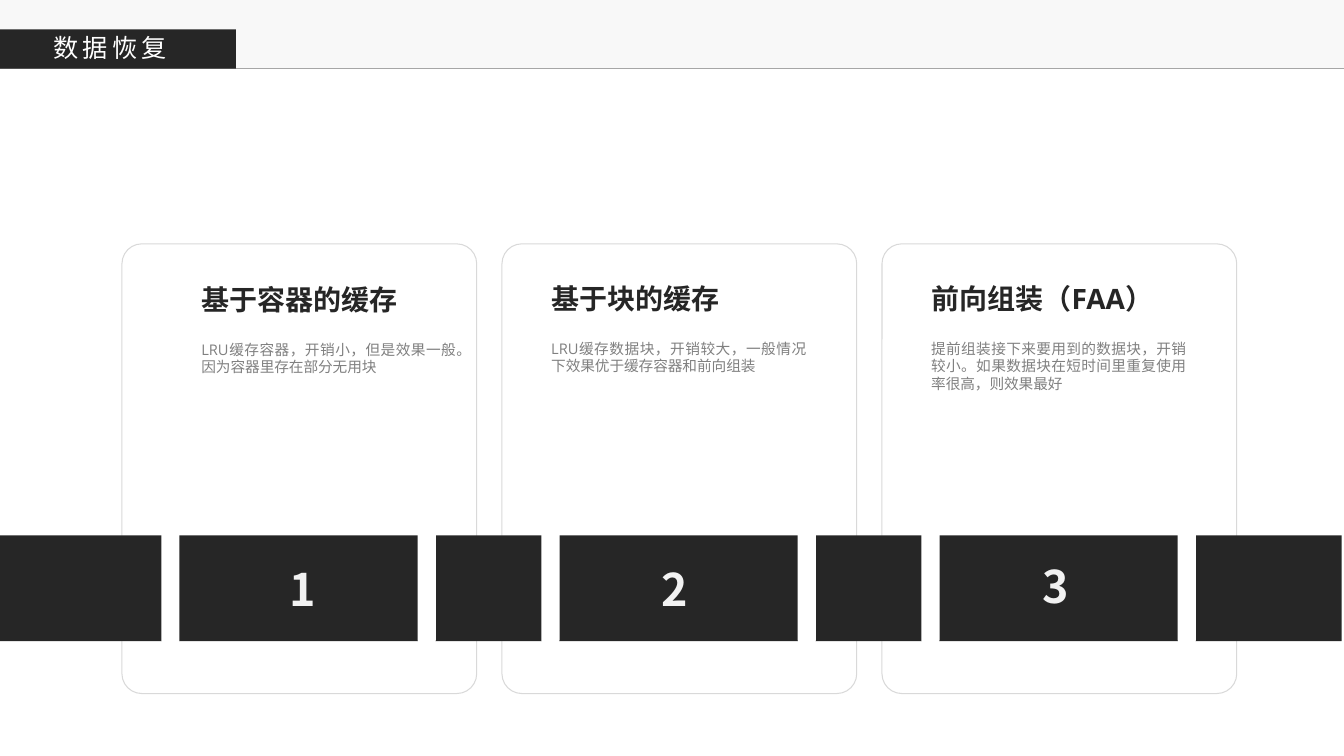
from dataclasses import dataclass

from lxml import etree
from pptx import Presentation
from pptx.dml.color import RGBColor
from pptx.enum.shapes import MSO_CONNECTOR, MSO_SHAPE as SHAPE
from pptx.enum.text import MSO_AUTO_SIZE, PP_ALIGN as ALIGN
from pptx.oxml.ns import qn
from pptx.util import Pt


@dataclass(frozen=True)
class Theme:
    dark: str = "262626"
    white: str = "FFFFFF"
    pale: str = "F2F2F2"
    rule: str = "A6A6A6"
    outline: str = "D9D9D9"
    muted: str = "808080"
    cjk: str = "Noto Sans CJK SC"
    latin: str = "Open Sans"
    title_size: float = 18
    number_size: float = 32
    heading_size: float = 20
    body_size: float = 10.5


T = Theme()
SLIDE_W, SLIDE_H = 960, 540
HEADER_H = 49
CARD_TOP, CARD_W, CARD_H = 174.2, 253.4, 321.2
CARD_LEFT, CARD_STEP = 87.1, 271.45
BAND_TOP, BAND_W, BAND_H = 382.4, 958.4, 75.6
GAP_W, GAP_OVERHANG, GAP_H = 13, 9.4, 90.7
GAP_OFFSETS = (28.1, 211.2)

# heading, body, text offset (x, y) and number offset (x, y) within the card
CARDS = [
    ("基于容器的缓存", "LRU缓存容器，开销小，但是效果一般。因为容器里存在部分无用块",
     (49.7, 23.8), (112.3, 223.2)),
    ("基于块的缓存", "LRU缓存数据块，开销较大，一般情况下效果优于缓存容器和前向组装",
     (28.1, 23.1), (106.6, 223.2)),
    ("前向组装（FAA）", "提前组装接下来要用到的数据块，开销较小。如果数据块在短时间里重复使用率很高，则效果最好",
     (28.1, 23.1), (107.3, 221)),
]


def rgb(color):
    return RGBColor.from_string(color)


def add_box(slide, kind, x, y, w, h, fill=None, line=None, radius=None):
    sp = slide.shapes.add_shape(kind, Pt(x), Pt(y), Pt(w), Pt(h))
    sp.shadow.inherit = False
    if radius is not None:
        sp.adjustments[0] = radius
    if fill:
        sp.fill.solid()
        sp.fill.fore_color.rgb = rgb(fill)
    else:
        sp.fill.background()
    if line:
        sp.line.color.rgb = rgb(line)
        sp.line.width = Pt(0.75)
    else:
        sp.line.fill.background()
    return sp


def add_text(slide, text, x, y, w, h, size, color, font=T.latin,
             bold=False, spacing=0, align=None):
    tf = slide.shapes.add_textbox(Pt(x), Pt(y), Pt(w), Pt(h)).text_frame
    tf.word_wrap = True
    tf.auto_size = MSO_AUTO_SIZE.SHAPE_TO_FIT_TEXT
    p = tf.paragraphs[0]
    p.alignment = align
    r = p.add_run()
    r.text = text
    r.font.size = Pt(size)
    r.font.bold = bold
    r.font.color.rgb = rgb(color)
    r.font.name = font
    props = r.font._element
    etree.SubElement(props, qn("a:ea")).set("typeface", T.cjk)
    if spacing:
        props.set("spc", str(spacing * 100))


def add_header(slide, title, w, h):
    strip = add_box(slide, SHAPE.RECTANGLE, 0, 0, w, h, T.pale)
    color = strip.fill._xPr.find(qn("a:solidFill"))[0]
    etree.SubElement(color, qn("a:alpha")).set("val", "50000")

    rule = slide.shapes.add_connector(
        MSO_CONNECTOR.STRAIGHT, Pt(0), Pt(h), Pt(w), Pt(h))
    rule.line.color.rgb = rgb(T.rule)
    rule.line.width = Pt(0.5)
    etree.SubElement(rule._element.spPr, qn("a:effectLst"))

    add_box(slide, SHAPE.RECTANGLE, 0, h - 28, 168.5, 28, T.dark)
    add_text(slide, title, 31, h - 29.6, 116.6, 28.8,
             T.title_size, T.white, T.cjk, spacing=3)


def add_band(slide, x, y, w, h, card_lefts):
    """Draw the dark band and cut it with two white gaps per card."""
    add_box(slide, SHAPE.RECTANGLE, x, y, w, h, T.dark)
    for left in card_lefts:
        for offset in GAP_OFFSETS:
            add_box(slide, SHAPE.ROUNDED_RECTANGLE, left + offset,
                    y - GAP_OVERHANG, GAP_W, GAP_H, T.white, radius=0.5)


def add_card_text(slide, x, y, number, heading, body, text_at, number_at):
    add_text(slide, str(number), x + number_at[0], y + number_at[1], 70.6, 46,
             T.number_size, T.pale, T.cjk, bold=True, spacing=6)
    tx, ty = x + text_at[0], y + text_at[1]
    add_text(slide, body, tx, ty + 41.7, 196.6, 32.4,
             T.body_size, T.muted, align=ALIGN.JUSTIFY)
    add_text(slide, heading, tx, ty, 229, 31.7,
             T.heading_size, T.dark, bold=True)


def main():
    prs = Presentation()
    prs.slide_width, prs.slide_height = Pt(SLIDE_W), Pt(SLIDE_H)
    slide = prs.slides.add_slide(prs.slide_layouts[6])
    lefts = [CARD_LEFT + i * CARD_STEP for i in range(len(CARDS))]

    add_header(slide, "数据恢复", SLIDE_W, HEADER_H)
    for left in lefts:
        add_box(slide, SHAPE.ROUNDED_RECTANGLE, left, CARD_TOP,
                CARD_W, CARD_H, line=T.outline, radius=0.056)
    add_band(slide, 0, BAND_TOP, BAND_W, BAND_H, lefts)
    for number, (left, card) in enumerate(zip(lefts, CARDS), 1):
        add_card_text(slide, left, CARD_TOP, number, *card)
    prs.save("out.pptx")


if __name__ == "__main__":
    main()
